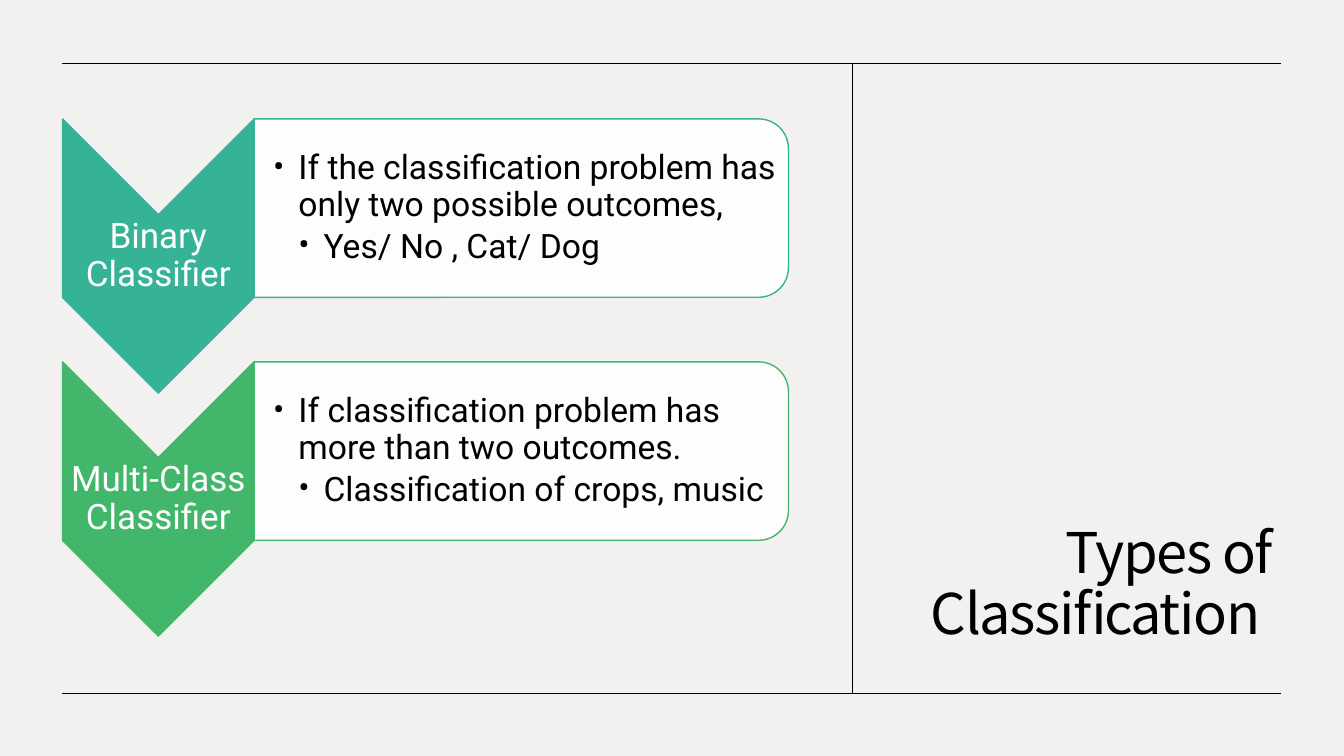
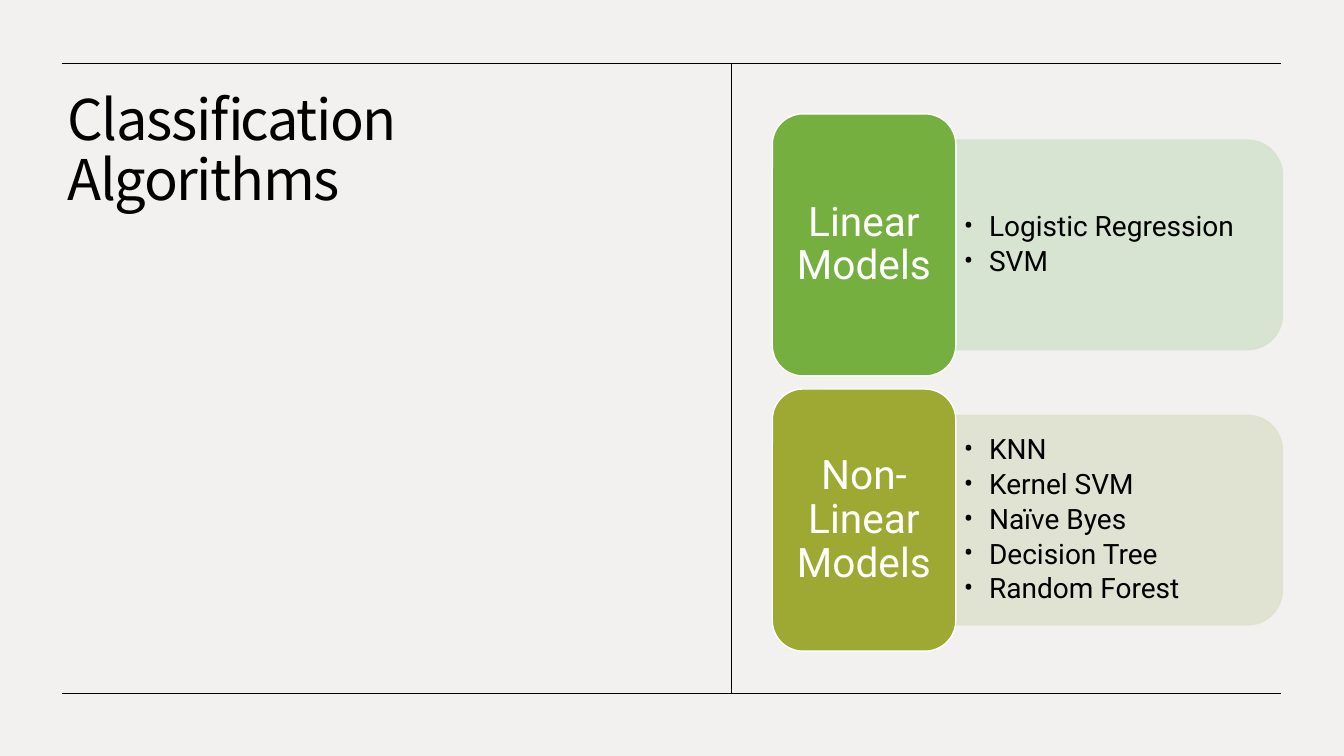
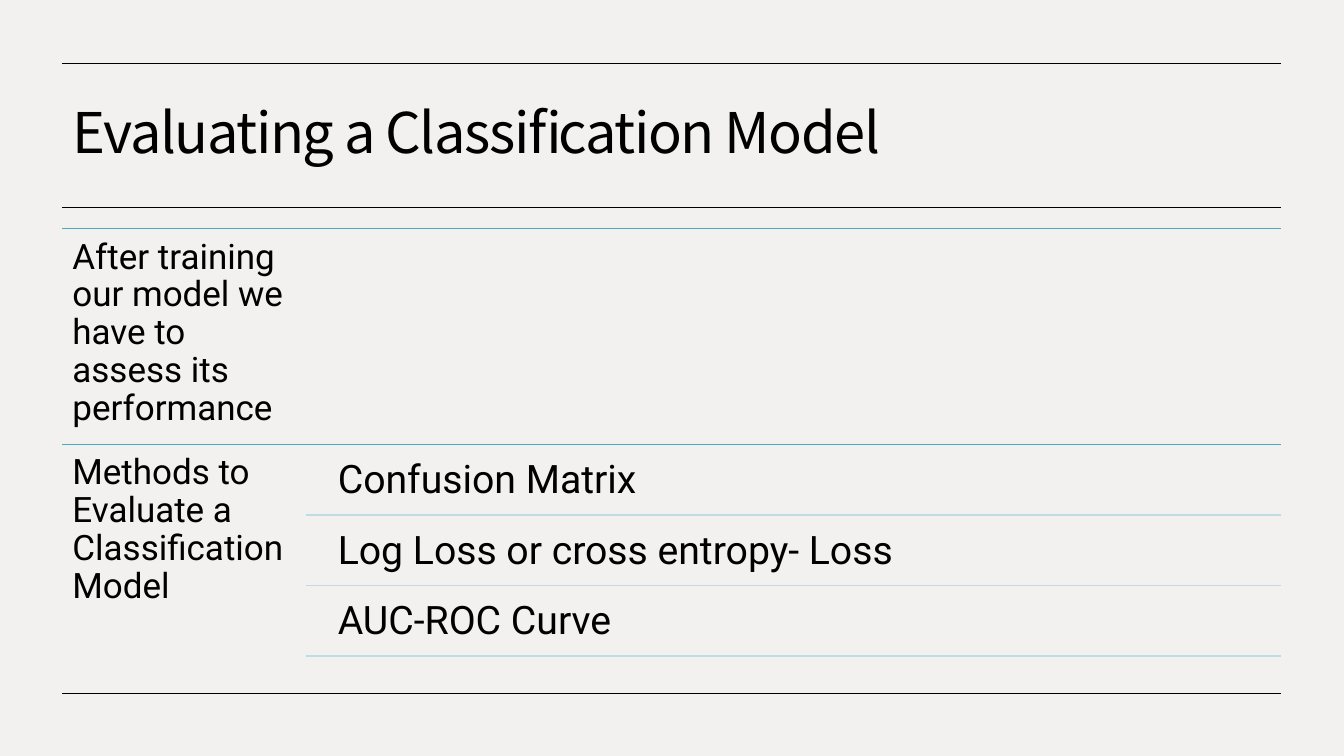
from lxml import etree
from pptx import Presentation
from pptx import util as u
from pptx.dml.color import RGBColor
from pptx.enum import shapes, text
from pptx.oxml import ns

# Palette and type
PAPER = RGBColor(0xF3, 0xF1, 0xF0)
BLACK = RGBColor(0, 0, 0)
WHITE = RGBColor(0xFF, 0xFF, 0xFF)
TEAL = RGBColor(0x36, 0xB3, 0x96)
GREEN = RGBColor(0x42, 0xB7, 0x6B)
LEAF = RGBColor(0x75, 0xAF, 0x40)
OLIVE = RGBColor(0x9D, 0xA9, 0x33)
PALE_LEAF = RGBColor(0xD6, 0xE3, 0xCF)
PALE_OLIVE = RGBColor(0xDE, 0xE2, 0xCE)
BLUE = RGBColor(0x47, 0xAC, 0xC3)
PALE_BLUE = RGBColor(0xC1, 0xDB, 0xE4)
TITLE_FONT, BODY_FONT = "Noto Sans CJK KR", "Roboto"

# Frame shared by all slides, in inches
WIDTH, HEIGHT = 13.33, 7.5
LEFT, RIGHT, TOP, BOTTOM = 0.62, 12.71, 0.63, 6.88

# Content: label, colours, and list items as (level, words)
CLASSIFIERS = [
    ("Binary Classifier", TEAL,
     [(1, "If the classification problem has only two possible outcomes,"),
      (2, "Yes/ No , Cat/ Dog")]),
    ("Multi-Class Classifier", GREEN,
     [(1, "If classification problem has more than two outcomes."),
      (2, "Classification of crops, music")]),
]
MODELS = [
    ("Linear Models", LEAF, PALE_LEAF, ["Logistic Regression", "SVM"]),
    ("Non- Linear Models", OLIVE, PALE_OLIVE,
     ["KNN", "Kernel SVM", "Naïve Byes", "Decision Tree", "Random Forest"]),
]
EVALUATION = [
    ("After training our model we have to assess its performance", []),
    ("Methods to Evaluate a Classification Model",
     ["Confusion Matrix", "Log Loss or cross entropy- Loss", "AUC-ROC Curve"]),
]


def inches(*lengths):
    return [u.Inches(length) for length in lengths]


def draw_line(page, x1, y1, x2, y2, color=BLACK, weight=0.5):
    line = page.shapes.add_connector(
        shapes.MSO_CONNECTOR.STRAIGHT, *inches(x1, y1, x2, y2))
    line.line.color.rgb = color
    line.line.width = u.Pt(weight)
    etree.SubElement(line._element.spPr, ns.qn("a:effectLst"))


def draw_shape(page, kind, at, fill, edge):
    shape = page.shapes.add_shape(kind, *inches(*at))
    shape.shadow.inherit = False
    shape.fill.solid()
    shape.fill.fore_color.rgb = fill
    shape.line.color.rgb = edge
    shape.line.width = u.Pt(1)
    return shape


def draw_turned(page, kind, at, fill, edge):
    """Draw a shape rotated by 90 degrees that covers the given area."""
    left, top, width, height = at
    shift = (width - height) / 2
    shape = draw_shape(page, kind, (left + shift, top - shift, height, width), fill, edge)
    shape.rotation = 90
    return shape


def draw_panel(page, at, fill, edge):
    """Draw a panel with round right corners and a 90 % opaque fill."""
    panel = draw_turned(page, shapes.MSO_SHAPE.ROUND_2_SAME_RECTANGLE, at, fill, edge)
    for color in panel._element.spPr.iter(ns.qn("a:srgbClr")):
        if color.get("val") == str(fill):
            etree.SubElement(color, ns.qn("a:alpha"), val="90000")


def style(para, size, color=BLACK, font=BODY_FONT, align=text.PP_ALIGN.LEFT):
    para.alignment = align
    para.line_spacing = 0.9
    for span in para.runs:
        span.font.size = u.Pt(size)
        span.font.name = font
        span.font.color.rgb = color


def set_frame(box, insets, anchor):
    frame = box.text_frame
    frame.word_wrap = True
    frame.auto_size = text.MSO_AUTO_SIZE.NONE
    frame.vertical_anchor = anchor
    (frame.margin_left, frame.margin_top,
     frame.margin_right, frame.margin_bottom) = inches(*insets)
    return frame


def write(box, words, size, insets, color=BLACK,
          align=text.PP_ALIGN.LEFT, anchor=text.MSO_ANCHOR.TOP):
    frame = set_frame(box, insets, anchor)
    frame.text = words
    style(frame.paragraphs[0], size, color, align=align)


def write_label(box, words, size, insets):
    write(box, words, size, insets, WHITE, text.PP_ALIGN.CENTER, text.MSO_ANCHOR.MIDDLE)


def add_list(page, at, items, size, insets):
    frame = set_frame(page.shapes.add_textbox(*inches(*at)), insets, text.MSO_ANCHOR.MIDDLE)
    for index, (level, words) in enumerate(items):
        para = frame.add_paragraph() if index else frame.paragraphs[0]
        para.text = words
        style(para, size)
        para.space_after = u.Pt(round(0.165 * size, 1))
        props = para._p.get_or_add_pPr()
        props.set("marL", str(u.Inches(0.25 * level)))
        props.set("indent", str(-u.Inches(0.25)))
        etree.SubElement(props, ns.qn("a:buFont"), typeface=BODY_FONT)
        etree.SubElement(props, ns.qn("a:buChar"), char="•")


def add_page(deck, words, at, anchor, align=text.PP_ALIGN.LEFT):
    """Add a slide with its title and the rules at top and bottom."""
    page = deck.slides.add_slide(deck.slide_layouts[5])
    title = page.shapes.title
    title.left, title.top, title.width, title.height = inches(*at)
    frame = set_frame(title, (0.1, 0.05, 0.1, 0.05), anchor)
    frame.text = words
    style(frame.paragraphs[0], 40, font=TITLE_FONT, align=align)
    for span in frame.paragraphs[0].runs:
        span._r.get_or_add_rPr().set("spc", "-100")
    for y in (TOP, BOTTOM):
        draw_line(page, LEFT, y, RIGHT, y)
    return page


def build_types(deck):
    page = add_page(deck, "Types of Classification ", (8.82, 1.04, 3.89, 5.42),
                    text.MSO_ANCHOR.BOTTOM, text.PP_ALIGN.RIGHT)
    draw_line(page, 8.45, TOP, 8.45, BOTTOM)
    arrow_width, arrow_height, panel_width, panel_height = 1.9, 2.72, 5.3, 1.77
    notch = arrow_width / 2
    for row, (label, color, items) in enumerate(CLASSIFIERS):
        top = 1.18 + 2.41 * row
        draw_turned(page, shapes.MSO_SHAPE.CHEVRON,
                    (LEFT, top, arrow_width, arrow_height), color, color)
        box = page.shapes.add_textbox(
            *inches(LEFT, top + notch, arrow_width, arrow_height - 2 * notch))
        write_label(box, label, 25, [0.02] * 4)
        panel = (LEFT + arrow_width, top, panel_width, panel_height)
        draw_panel(page, panel, WHITE, color)
        add_list(page, panel, items, 24, (0.19, 0.02, 0.1, 0.02))


def build_algorithms(deck):
    page = add_page(deck, "Classification Algorithms", (0.57, 0.86, 5.47, 5.61),
                    text.MSO_ANCHOR.TOP)
    draw_line(page, 7.25, TOP, 7.25, BOTTOM)
    card_left, card_width, card_height = 7.66, 1.82, 2.6
    panel_width, panel_height = 3.24, 0.8 * card_height
    for row, (label, color, pale, items) in enumerate(MODELS):
        top = 1.13 + 1.05 * card_height * row
        panel = (card_left + card_width, top + 0.1 * card_height, panel_width, panel_height)
        draw_panel(page, panel, pale, pale)
        add_list(page, panel, [(1, item) for item in items], 20, (0.08, 0.04, 0.18, 0.04))
        card = draw_shape(page, shapes.MSO_SHAPE.ROUNDED_RECTANGLE,
                          (card_left, top, card_width, card_height), color, WHITE)
        # The rounded corners already inset the text
        write_label(card, label, 29, (0.1, 0.06, 0.1, 0.06))


def build_evaluation(deck):
    page = add_page(deck, "Evaluating a Classification Model", (0.62, 0.75, 12.08, 1.19),
                    text.MSO_ANCHOR.MIDDLE)
    draw_line(page, LEFT, 2.06, RIGHT, 2.06)
    label_width, row_height, item_height, gap = 2.42, 2.14, 0.67, 0.03
    item_left = LEFT + label_width
    for row, (label, items) in enumerate(EVALUATION):
        top = 2.27 + row_height * row
        draw_line(page, LEFT, top, RIGHT, top, BLUE, 1)
        box = page.shapes.add_textbox(*inches(LEFT, top, label_width, row_height))
        write(box, label, 25, [0.1] * 4)
        for index, item in enumerate(items):
            item_top = top + gap + (item_height + gap) * index
            box = page.shapes.add_textbox(
                *inches(item_left + 0.19, item_top, RIGHT - item_left - 0.19, item_height))
            write(box, item, 28, [0.12] * 4)
            rule = item_top + item_height
            draw_line(page, item_left, rule, RIGHT, rule, PALE_BLUE, 1)


def main():
    deck = Presentation()
    deck.slide_width, deck.slide_height = inches(WIDTH, HEIGHT)
    backdrop = deck.slide_master.background.fill
    backdrop.solid()
    backdrop.fore_color.rgb = PAPER
    build_types(deck)
    build_algorithms(deck)
    build_evaluation(deck)
    deck.save("out.pptx")


if __name__ == "__main__":
    main()
